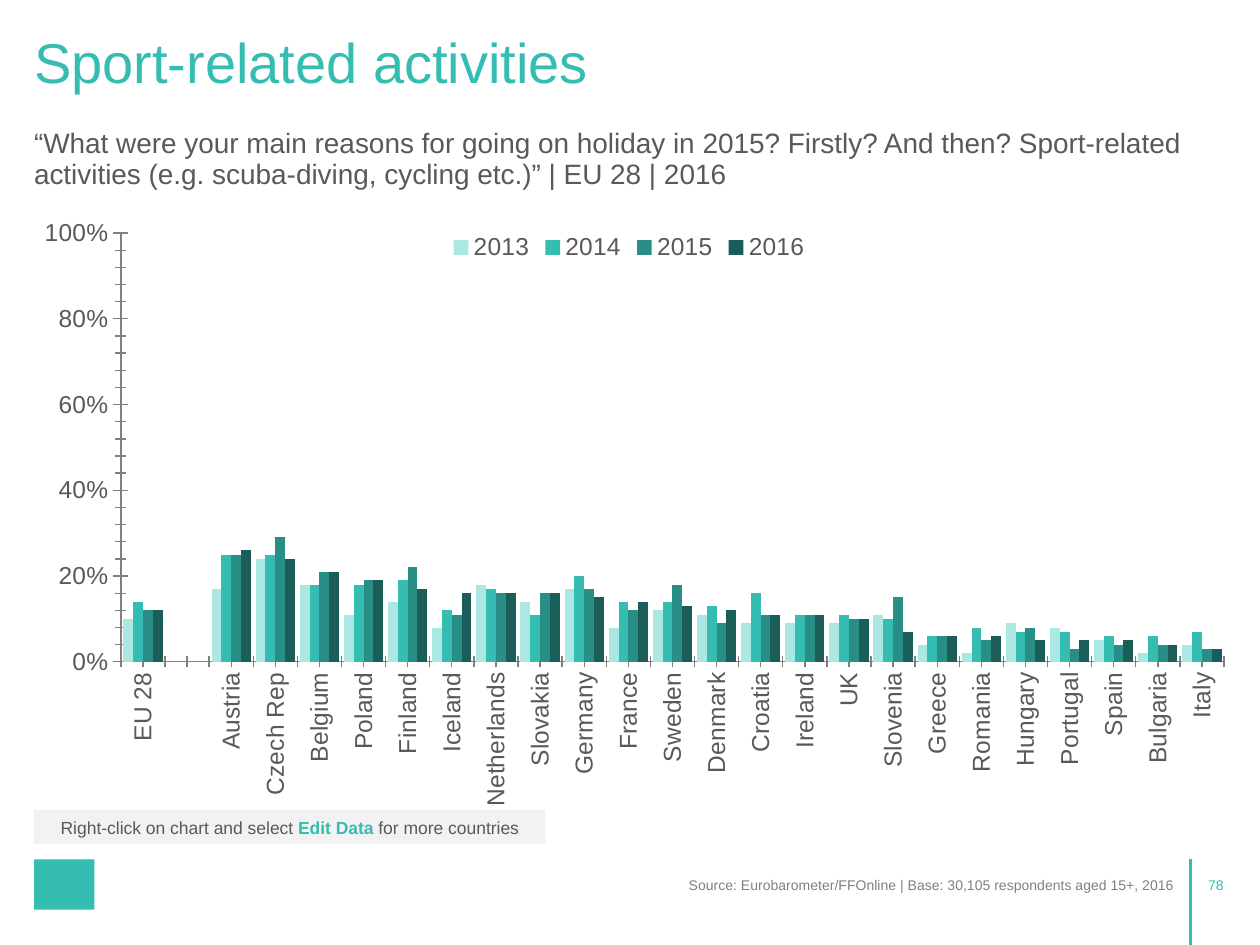
from lxml import etree
from pptx import Presentation, util as u
from pptx.chart import data as chart_data
from pptx.dml.color import RGBColor
from pptx.enum import chart as charts, shapes, text
from pptx.oxml import parse_xml
from pptx.oxml.ns import nsdecls, qn

COLORS = {"teal": "35BDB2", "body": "595959", "source": "808080", "panel": "F2F2F2",
          "2013": "ABE8E3", "2014": "35BDB2", "2015": "288E86", "2016": "1B5E59"}

COUNTRIES = ["EU 28", "", "Austria", "Czech Rep", "Belgium", "Poland", "Finland",
             "Iceland", "Netherlands", "Slovakia", "Germany", "France", "Sweden",
             "Denmark", "Croatia", "Ireland", "UK", "Slovenia", "Greece", "Romania",
             "Hungary", "Portugal", "Spain", "Bulgaria", "Italy"]

PERCENT_BY_YEAR = {
    "2013": [10, None, 17, 24, 18, 11, 14, 8, 18, 14, 17, 8, 12, 11, 9, 9, 9, 11, 4, 2, 9, 8, 5, 2, 4],
    "2014": [14, None, 25, 25, 18, 18, 19, 12, 17, 11, 20, 14, 14, 13, 16, 11, 11, 10, 6, 8, 7, 7, 6, 6, 7],
    "2015": [12, None, 25, 29, 21, 19, 22, 11, 16, 16, 17, 12, 18, 9, 11, 11, 10, 15, 6, 5, 8, 3, 4, 4, 3],
    "2016": [12, None, 26, 24, 21, 19, 17, 16, 16, 16, 15, 14, 13, 12, 11, 11, 10, 7, 6, 6, 5, 5, 5, 4, 3],
}

PLOT_SHARE = {"x": 0.073, "y": 0.023, "w": 0.927, "h": 0.726}


class Deck:
    font_name = "Arial"
    columns, rows = 100, 75

    def __init__(self):
        self.presentation = Presentation()
        self.presentation.slide_width = u.Inches(10)
        self.presentation.slide_height = u.Inches(7.5)
        self.slide = self.presentation.slides.add_slide(self.presentation.slide_layouts[6])

    def cells(self, left, top, width, height):
        column = self.presentation.slide_width / self.columns
        row = self.presentation.slide_height / self.rows
        return [u.Emu(round(n)) for n in (left * column, top * row, width * column, height * row)]

    def color(self, name):
        return RGBColor.from_string(COLORS[name])

    def style(self, font, size, color):
        font.name, font.size = self.font_name, u.Pt(size)
        font.color.rgb = self.color(color)

    def text(self, area, words, size, color, spacing, align=text.PP_ALIGN.LEFT,
             anchor=text.MSO_ANCHOR.TOP, padded=False):
        frame = self.slide.shapes.add_textbox(*self.cells(*area)).text_frame
        frame.word_wrap = True
        frame.vertical_anchor = anchor
        if not padded:
            frame.margin_left = frame.margin_right = frame.margin_top = frame.margin_bottom = 0
        paragraph = frame.paragraphs[0]
        paragraph.text = words
        paragraph.alignment, paragraph.line_spacing = align, spacing
        self.style(paragraph.font, size, color)

    def footer(self, area, words, color):
        self.text(area, words, 8, color, u.Pt(8), text.PP_ALIGN.RIGHT,
                  text.MSO_ANCHOR.MIDDLE, padded=True)

    def panel(self, area, fill, runs=(), size=10):
        box = self.slide.shapes.add_shape(shapes.MSO_SHAPE.RECTANGLE, *self.cells(*area))
        box.shadow.inherit = False
        box.fill.solid()
        box.fill.fore_color.rgb = self.color(fill)
        box.line.fill.background()
        paragraph = box.text_frame.paragraphs[0]
        paragraph.alignment = text.PP_ALIGN.CENTER
        for words, color, bold in runs:
            run = paragraph.add_run()
            run.text = words
            self.style(run.font, size, color)
            run.font.bold = bold

    def rule(self, start, end, color, weight):
        x1, y1, x2, y2 = self.cells(*start, *end)
        line = self.slide.shapes.add_connector(shapes.MSO_CONNECTOR.STRAIGHT, x1, y1, x2, y2)
        line.line.color.rgb = self.color(color)
        line.line.width = u.Pt(weight)
        etree.SubElement(line._element.spPr, qn("a:effectLst"))

    def column_chart(self, area, categories, percents, plot):
        values = chart_data.CategoryChartData(number_format="0%")
        values.categories = categories
        for year, shares in percents.items():
            values.add_series(year, [None if n is None else n / 100 for n in shares])
        chart = self.slide.shapes.add_chart(
            charts.XL_CHART_TYPE.COLUMN_CLUSTERED, *self.cells(*area), values).chart
        chart.has_title = False
        self.style(chart.font, 14, "body")

        chart.has_legend = True
        chart.legend.position = charts.XL_LEGEND_POSITION.TOP
        chart.legend.include_in_layout = True

        bars = chart.plots[0]
        bars.gap_width, bars.overlap, bars.vary_by_categories = 50, 0, False
        for series in bars.series:
            series.format.fill.solid()
            series.format.fill.fore_color.rgb = self.color(series.name)

        marks = charts.XL_TICK_MARK
        for axis, major in ((chart.category_axis, marks.NONE), (chart.value_axis, marks.CROSS)):
            axis.has_major_gridlines = False
            axis.major_tick_mark, axis.minor_tick_mark = major, marks.CROSS
            axis.format.line.color.rgb = self.color("source")
            self.style(axis.tick_labels.font, 14, "body")
        chart.category_axis._element.find(qn("c:txPr")).find(qn("a:bodyPr")).set("rot", "-5400000")
        scale = chart.value_axis
        scale.minimum_scale, scale.maximum_scale, scale.major_unit = 0, 1, 0.2
        scale.tick_labels.number_format = "0%"
        scale.tick_labels.number_format_is_linked = False

        plot_area = chart._chartSpace.chart.plotArea
        for layout in plot_area.findall(qn("c:layout")):
            plot_area.remove(layout)
        sizes = "".join(f'<c:{key} val="{share}"/>' for key, share in plot.items())
        plot_area.insert(0, parse_xml(
            f'<c:layout {nsdecls("c")}><c:manualLayout><c:layoutTarget val="inner"/>'
            f'<c:xMode val="edge"/><c:yMode val="edge"/>{sizes}</c:manualLayout></c:layout>'))


def main():
    deck = Deck()
    margin, content = 2.7, 94.5
    deck.footer((94.7, 69.3, 3.4, 2.1), "78", "teal")
    deck.rule((94.5, 68.2), (94.5, 75), "teal", 1.5)
    deck.panel((margin, 68.2, 4.8, 4), "teal")
    deck.column_chart((margin, 17.4, content, 46.9), COUNTRIES, PERCENT_BY_YEAR, PLOT_SHARE)
    deck.footer((7.5, 69.3, 86.7, 2.1),
                "Source: Eurobarometer/FFOnline | Base: 30,105 respondents aged 15+, 2016", "source")
    deck.text((margin, 2.8, content, 9.7), "Sport-related activities", 32, "teal", 0.9)
    deck.text((margin, 10.3, content, 4.8),
              "“What were your main reasons for going on holiday in 2015? Firstly? And then? "
              "Sport-related activities (e.g. scuba-diving, cycling etc.)” | EU 28 | 2016",
              16, "body", 0.9)
    deck.panel((margin, 64.3, 40.6, 2.7), "panel",
               [("Right-click on chart and select ", "body", False),
                ("Edit Data ", "teal", True),
                ("for more countries", "body", False)])
    deck.presentation.save("out.pptx")


if __name__ == "__main__":
    main()
